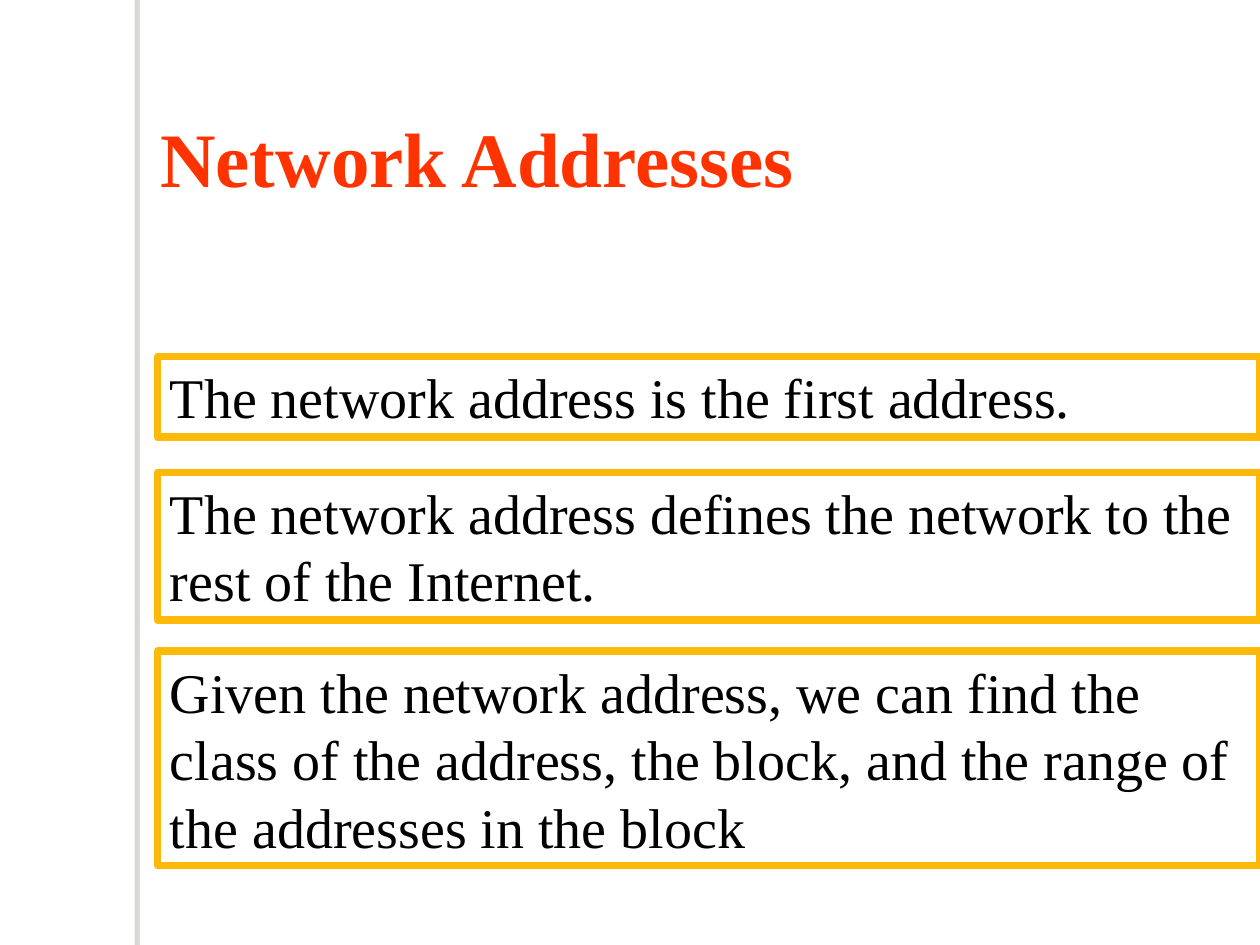
from dataclasses import dataclass

from lxml.etree import SubElement
from pptx import Presentation
from pptx.dml.color import RGBColor
from pptx.enum.shapes import MSO_SHAPE
from pptx.enum.text import MSO_ANCHOR, MSO_AUTO_SIZE, PP_ALIGN
from pptx.oxml.ns import qn
from pptx.util import Inches, Pt

WIDTH, HEIGHT = 10, 7.5
FONT = "Times New Roman"
LEADING = 1.2
BOX_LEFT = WIDTH / 8


@dataclass
class Statement:
    top: float
    height: float
    text: str


STATEMENTS = [
    Statement(2.83, 0.64, "The network address is the first address."),
    Statement(3.75, 1.17, "The network address defines the network to the "
                          "rest of the Internet."),
    Statement(5.17, 1.7, "Given the network address, we can find the class of "
                         "the address, the block, and the range of the "
                         "addresses in the block"),
]


def color(hex_value: str) -> RGBColor:
    return RGBColor.from_string(hex_value)


def place(s, left: float, top: float, width: float, height: float) -> None:
    s.left, s.top, s.width, s.height = map(Inches, (left, top, width, height))


def add_rect(slide, left: float, top: float, width: float, height: float):
    s = slide.shapes.add_shape(
        MSO_SHAPE.RECTANGLE, *map(Inches, (left, top, width, height)))
    s.shadow.inherit = False
    return s


def write(s, text: str, size: float, hex_value: str, bold: bool = False) -> None:
    tf = s.text_frame
    tf.word_wrap = True
    tf.auto_size = MSO_AUTO_SIZE.NONE
    tf.vertical_anchor = MSO_ANCHOR.TOP
    p = tf.paragraphs[0]
    p.alignment = PP_ALIGN.LEFT
    p.space_before = Pt(0)
    p.line_spacing = Pt(size * LEADING)
    r = p.add_run()
    r.text = text
    r.font.name, r.font.size, r.font.bold = FONT, Pt(size), bold
    r.font.color.rgb = color(hex_value)


def add_side_strip(slide) -> None:
    s = add_rect(slide, 1.11, 0, 0.08, HEIGHT)
    s.fill.solid()
    s.fill.fore_color.rgb = color("FFFFFF")
    s.line.fill.background()
    # Soft grey shadow cast to the left
    effects = s._element.spPr.find(qn("a:effectLst"))
    shadow = SubElement(effects, qn("a:outerShdw"), blurRad="0",
                        dist=str(Pt(3)), dir="10800000", algn="tl",
                        rotWithShape="0")
    tint = SubElement(shadow, qn("a:srgbClr"), val="706B5F")
    SubElement(tint, qn("a:alpha"), val="25000")


def add_statement(slide, item: Statement) -> None:
    s = add_rect(slide, BOX_LEFT, item.top, WIDTH - BOX_LEFT, item.height)
    s.fill.background()
    s.line.color.rgb = color("FEB80A")
    s.line.width = Pt(4.5)
    write(s, item.text, 32, "000000")


def main() -> None:
    prs = Presentation()
    prs.slide_width, prs.slide_height = Inches(WIDTH), Inches(HEIGHT)
    slide = prs.slides.add_slide(prs.slide_layouts[5])

    add_side_strip(slide)

    # Title
    title = slide.shapes.title
    place(title, 1.17, 0.83, 5.5, 0.84)
    write(title, "Network Addresses", 44, "FF3300", bold=True)

    # Framed statements
    for item in STATEMENTS:
        add_statement(slide, item)

    prs.save("out.pptx")


if __name__ == "__main__":
    main()
